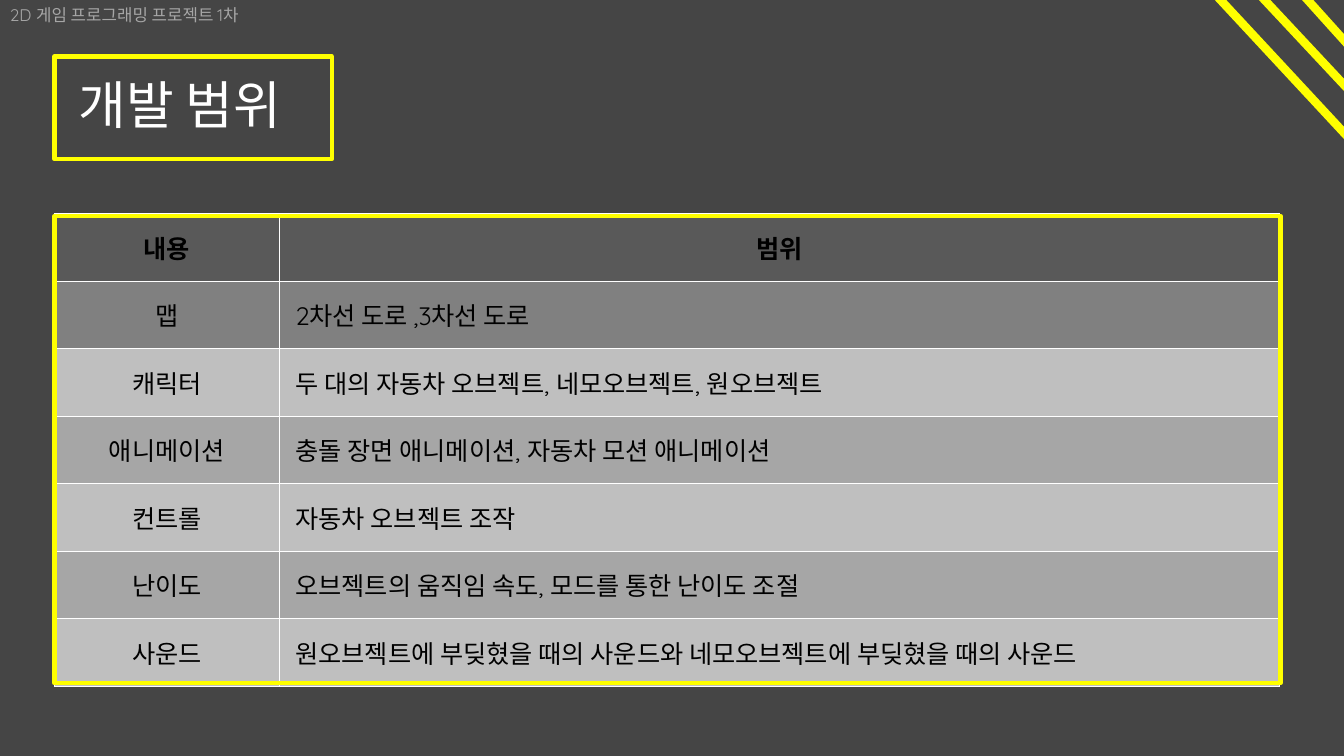
from dataclasses import dataclass

from lxml.etree import SubElement
from pptx import Presentation
from pptx.dml.color import RGBColor as Rgb
from pptx.enum.shapes import MSO_CONNECTOR as Connector, MSO_SHAPE as Shape
from pptx.enum.text import MSO_ANCHOR as Anchor, PP_ALIGN as Align
from pptx.oxml.ns import qn
from pptx.util import Inches, Pt


@dataclass(frozen=True)
class Theme:
    font: str = "Quicksand"
    background: str = "454545"
    accent: str = "FFFF00"
    title: str = "FFFFFF"
    caption: str = "A6A6A6"
    body: str = "000000"
    grid: str = "FFFFFF"
    header_fill: str = "595959"
    first_fill: str = "808080"
    band_fills: tuple = ("BFBFBF", "A6A6A6")
    title_size: int = 37
    caption_size: int = 12
    body_size: int = 18
    frame_width: int = 3
    stripe_width: int = 6
    grid_width: int = 1


THEME = Theme()

SCOPE_ROWS = [
    ("내용", "범위"),
    ("맵", "2차선 도로 ,3차선 도로"),
    ("캐릭터", "두 대의 자동차 오브젝트, 네모오브젝트, 원오브젝트"),
    ("애니메이션", "충돌 장면 애니메이션, 자동차 모션 애니메이션"),
    ("컨트롤", "자동차 오브젝트 조작"),
    ("난이도", "오브젝트의 움직임 속도, 모드를 통한 난이도 조절"),
    ("사운드", "원오브젝트에 부딪혔을 때의 사운드와 네모오브젝트에 부딪혔을 때의 사운드"),
]

STRIPES = [
    (11.4, -0.76, 14.79, 2.89),
    (11.87, -0.72, 14.32, 1.9),
    (12.61, -0.4, 14.05, 1.2),
]


def apply_format(target, values):
    for name, value in values.items():
        setattr(target, name, value)


def write(paragraph, words, size, color, align=Align.LEFT, bold=False):
    paragraph.alignment = align
    run = paragraph.add_run()
    run.text = words
    apply_format(run.font, {"name": THEME.font, "size": Pt(size), "bold": bold})
    run.font.color.rgb = Rgb.from_string(color)


def add_frame(slide, box):
    frame = slide.shapes.add_shape(Shape.RECTANGLE, *map(Inches, box))
    frame.shadow.inherit = False
    frame.fill.background()
    frame.line.color.rgb = Rgb.from_string(THEME.accent)
    frame.line.width = Pt(THEME.frame_width)
    return frame


def add_title(slide, box):
    heading = add_frame(slide, box).text_frame
    apply_format(heading, {
        "word_wrap": True,
        "vertical_anchor": Anchor.MIDDLE,
        "margin_left": Inches(0.24),
    })
    heading.paragraphs[0].line_spacing = 0.9
    write(heading.paragraphs[0], "개발 범위", THEME.title_size, THEME.title)


def add_caption(slide, box):
    caption = slide.shapes.add_textbox(*map(Inches, box)).text_frame
    caption.word_wrap = False
    write(caption.paragraphs[0], "2D 게임 프로그래밍 프로젝트 1차",
          THEME.caption_size, THEME.caption)


def add_cell_borders(cell):
    properties = cell._tc.get_or_add_tcPr()
    for position, side in enumerate(("a:lnL", "a:lnR", "a:lnT", "a:lnB")):
        border = properties.makeelement(qn(side), {"w": str(Pt(THEME.grid_width))})
        fill = SubElement(border, qn("a:solidFill"))
        SubElement(fill, qn("a:srgbClr"), val=THEME.grid)
        properties.insert(position, border)


def row_fill(row):
    if row < 2:
        return (THEME.header_fill, THEME.first_fill)[row]
    return THEME.band_fills[row % 2]


def add_scope_table(slide, box):
    left, top, width, height = box
    topic_width = 2.23
    scope = slide.shapes.add_table(
        len(SCOPE_ROWS), 2, *map(Inches, box)).table
    scope.columns[0].width = Inches(topic_width)
    scope.columns[1].width = Inches(width - topic_width)
    for row, entries in enumerate(SCOPE_ROWS):
        scope.rows[row].height = Inches(height / len(SCOPE_ROWS))
        for column, words in enumerate(entries):
            cell = scope.cell(row, column)
            header = row == 0
            centred = header or column == 0
            apply_format(cell, {
                "vertical_anchor": Anchor.MIDDLE,
                "margin_left": Inches(0.1 if centred else 0.16),
            })
            cell.fill.solid()
            cell.fill.fore_color.rgb = Rgb.from_string(row_fill(row))
            write(cell.text_frame.paragraphs[0], words, THEME.body_size, THEME.body,
                  Align.CENTER if centred else Align.LEFT, header)
            add_cell_borders(cell)


def add_corner_stripes(slide, ends):
    for points in ends:
        stripe = slide.shapes.add_connector(
            Connector.STRAIGHT, *map(Inches, points))
        stripe.line.color.rgb = Rgb.from_string(THEME.accent)
        stripe.line.width = Pt(THEME.stripe_width)
        SubElement(stripe._element.spPr, qn("a:effectLst"))


def build_scope_slide(deck):
    slide = deck.slides.add_slide(deck.slide_layouts[6])
    slide.background.fill.solid()
    slide.background.fill.fore_color.rgb = Rgb.from_string(THEME.background)
    add_title(slide, (0.54, 0.56, 2.75, 1.02))
    add_caption(slide, (0, 0, 2.72, 0.3))
    add_scope_table(slide, (0.54, 2.12, 12.15, 4.69))
    add_frame(slide, (0.54, 2.14, 12.16, 4.64))
    add_corner_stripes(slide, STRIPES)


def main():
    deck = Presentation()
    apply_format(deck, {"slide_width": Inches(13.33), "slide_height": Inches(7.5)})
    build_scope_slide(deck)
    deck.save("out.pptx")


if __name__ == "__main__":
    main()
